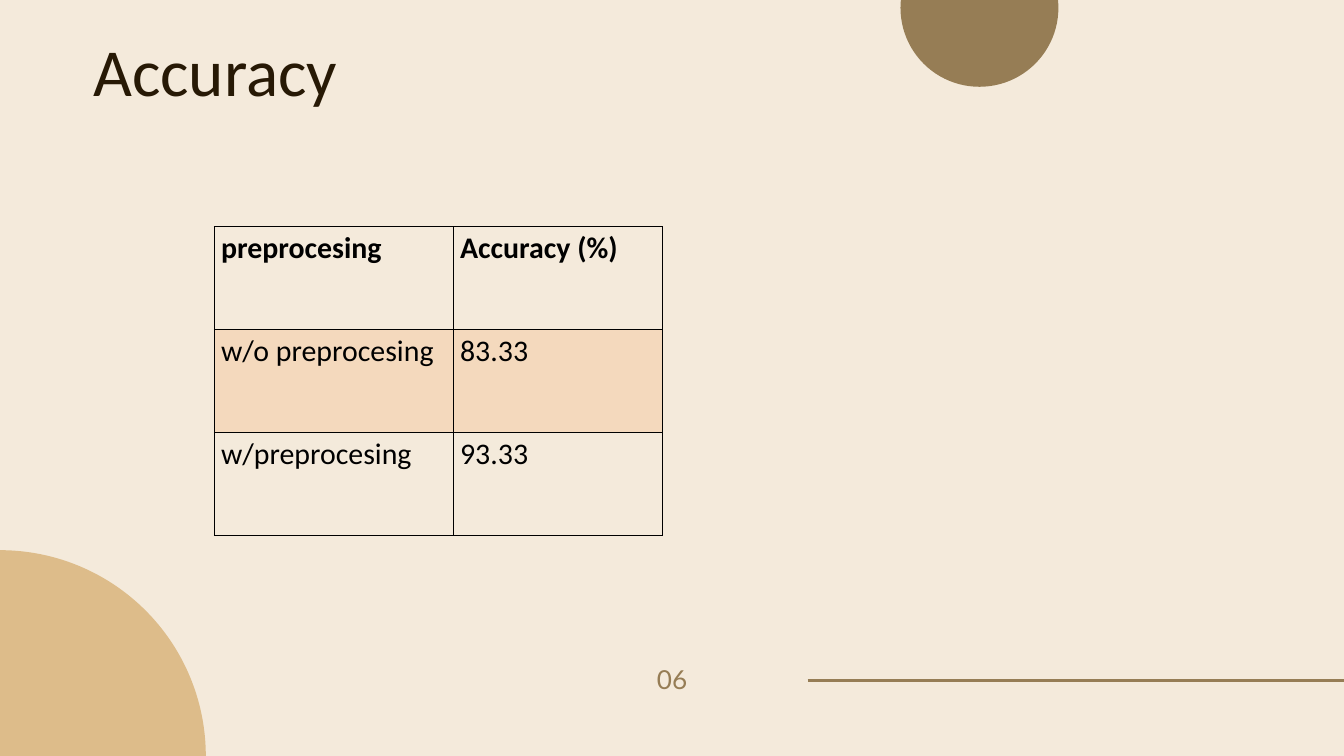
from lxml import etree
from pptx import Presentation
from pptx.dml.color import RGBColor
from pptx.enum.shapes import MSO_CONNECTOR, MSO_SHAPE
from pptx.enum.text import MSO_ANCHOR, PP_ALIGN
from pptx.oxml.ns import qn
from pptx.util import Pt

OVAL = MSO_SHAPE.OVAL
LINE = MSO_CONNECTOR.STRAIGHT
CENTER = PP_ALIGN.CENTER
TOP = MSO_ANCHOR.TOP

TITLE = "Accuracy"
PAGE = "06"
ROWS = [
    ("preprocesing", "Accuracy (%)"),
    ("w/o preprocesing", "83.33"),
    ("w/preprocesing", "93.33"),
]

THEME = {
    "back": "F4EADB", "brown": "967D55", "sand": "DDBC8A", "dark": "271905",
    "ink": "000000", "band": "F79646", "band_alpha": 20,
    "font": "Calibri", "page_font": "Lato",
    "title": 72, "cell": 32, "page": 28,
}

WIDE, HIGH = 1440, 810
CIRCLES = [  # centre x, centre y, radius, colour
    (1049.4, 8.4, 84.6, "brown"),
    (0, HIGH, 220.5, "sand"),
]
RULE_X, RULE_Y = 865.2, 728.8
TABLE_X, TABLE_Y = 229.6, 243
COL_W = (256.2, 223.8)
ROW_H = 110.2


def color(key):
    return RGBColor.from_string(THEME[key])


def add_run(para, text, font, size, key, bold=False):
    run = para.add_run()
    run.text = text
    run.font.name = THEME[font]
    run.font.size = Pt(THEME[size])
    run.font.color.rgb = color(key)
    run.font.bold = bold


def add_label(slide, box, text, font, size, key, gap):
    """Add centred text with exact line spacing and no insets."""
    frame = slide.shapes.add_textbox(*map(Pt, box)).text_frame
    frame.margin_left = frame.margin_right = 0
    frame.margin_top = frame.margin_bottom = 0
    frame.word_wrap = True
    frame.vertical_anchor = TOP
    para = frame.paragraphs[0]
    para.alignment = CENTER
    para.line_spacing = Pt(gap)
    add_run(para, text, font, size, key)


def add_circle(slide, x, y, radius, key):
    side = Pt(2 * radius)
    disc = slide.shapes.add_shape(OVAL, Pt(x - radius), Pt(y - radius), side, side)
    disc.shadow.inherit = False
    disc.fill.solid()
    disc.fill.fore_color.rgb = color(key)
    disc.line.fill.background()


def add_rule(slide):
    rule = slide.shapes.add_connector(
        LINE, Pt(RULE_X), Pt(RULE_Y), Pt(WIDE), Pt(RULE_Y))
    rule.line.color.rgb = color("brown")
    rule.line.width = Pt(3)
    etree.SubElement(rule._element.spPr, qn("a:effectLst"))


def set_border(cell):
    props = cell._tc.get_or_add_tcPr()
    for side in ("lnL", "lnR", "lnT", "lnB"):
        edge = etree.SubElement(props, qn(f"a:{side}"), w=str(Pt(1)))
        fill = etree.SubElement(edge, qn("a:solidFill"))
        etree.SubElement(fill, qn("a:srgbClr"), val=THEME["ink"])


def set_band(cell):
    """Give the cell a see-through fill."""
    cell.fill.solid()
    cell.fill.fore_color.rgb = color("band")
    tint = cell._tc.tcPr.find(qn("a:solidFill")).find(qn("a:srgbClr"))
    etree.SubElement(tint, qn("a:alpha"), val=str(THEME["band_alpha"] * 1000))


def add_grid(slide):
    table = slide.shapes.add_table(
        len(ROWS), len(COL_W), Pt(TABLE_X), Pt(TABLE_Y),
        Pt(sum(COL_W)), Pt(ROW_H * len(ROWS))).table
    for col, width in zip(table.columns, COL_W):
        col.width = Pt(width)
    for r, row in enumerate(ROWS):
        table.rows[r].height = Pt(ROW_H)
        for c, text in enumerate(row):
            cell = table.cell(r, c)
            set_border(cell)
            if r % 2:
                set_band(cell)
            else:
                cell.fill.background()
            para = cell.text_frame.paragraphs[0]
            add_run(para, text, "font", "cell", "ink", bold=r == 0)


def main():
    deck = Presentation()
    deck.slide_width, deck.slide_height = Pt(WIDE), Pt(HIGH)
    slide = deck.slides.add_slide(deck.slide_layouts[6])
    slide.background.fill.solid()
    slide.background.fill.fore_color.rgb = color("back")
    add_rule(slide)
    add_label(slide, (459.4, 716.4, 521.3, 28), PAGE,
              "page_font", "page", "brown", 28)
    for circle in CIRCLES:
        add_circle(slide, *circle)
    add_label(slide, (-149.8, 31.7, 761, 87.1), TITLE,
              "font", "title", "dark", 86.4)
    add_grid(slide)
    deck.save("out.pptx")


if __name__ == "__main__":
    main()
